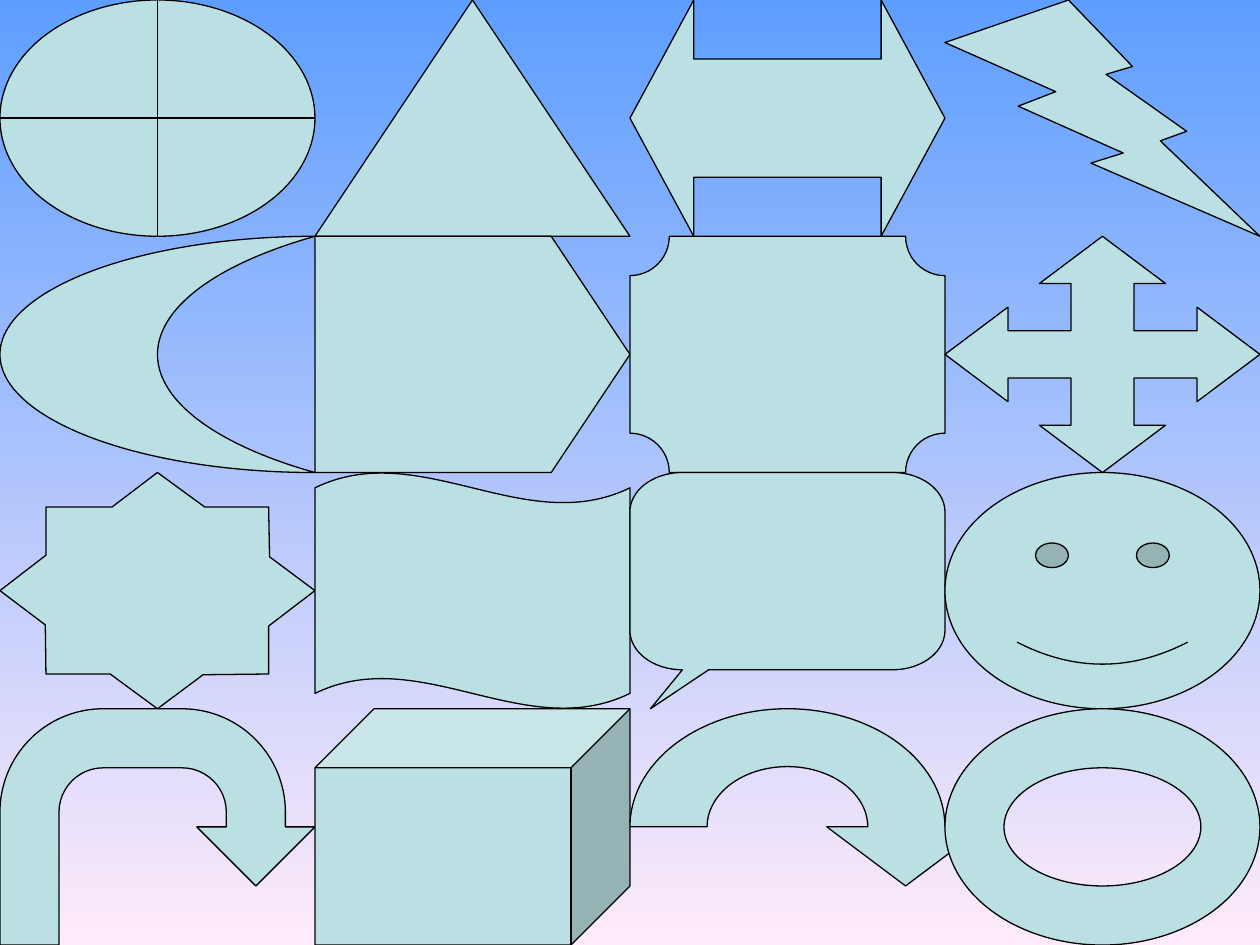
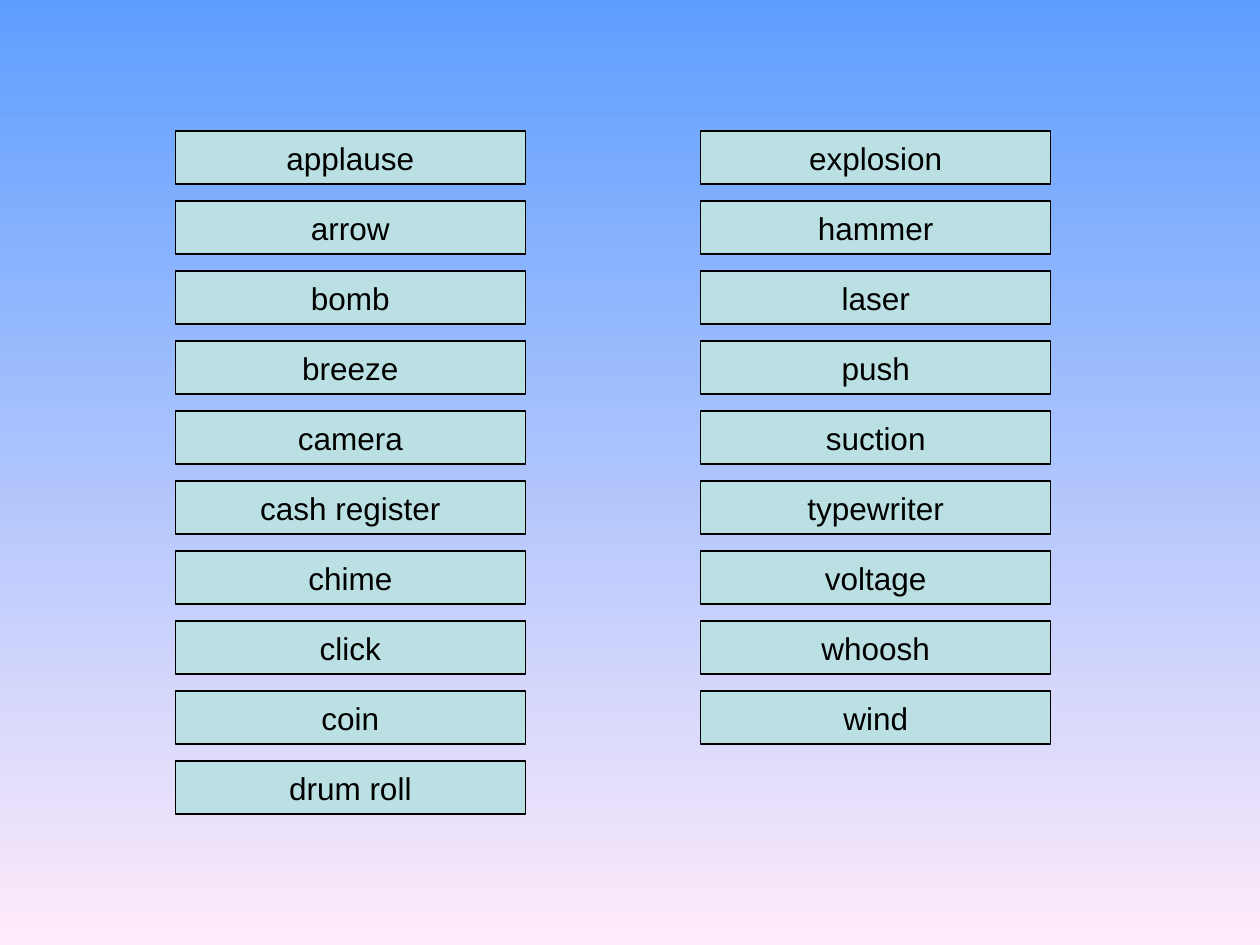
from dataclasses import dataclass, field
from math import cos, radians, sin

from pptx import Presentation
from pptx.dml.color import RGBColor
from pptx.enum.shapes import MSO_SHAPE
from pptx.enum.text import MSO_ANCHOR, PP_ALIGN
from pptx.util import Inches, Pt

Point = tuple[float, float]

SLIDE_WIDTH, SLIDE_HEIGHT = Inches(10), Inches(7.5)
SKY, BLUSH, AQUA, BLACK = "5E9EFF", "FFEBFA", "BBE0E3", "000000"
GRID_COLUMNS = GRID_ROWS = 4
CELL_WIDTH = SLIDE_WIDTH // GRID_COLUMNS
CELL_HEIGHT = SLIDE_HEIGHT // GRID_ROWS

LABEL_LEFTS = (Inches(1.39), Inches(5.56))
LABEL_TOP = Inches(1.04)
LABEL_PITCH = Inches(5) / 9
LABEL_WIDTH, LABEL_HEIGHT = Inches(2.78), Inches(0.42)
FRAME_FORMAT = {
    "word_wrap": False,
    "vertical_anchor": MSO_ANCHOR.MIDDLE,
    "margin_left": Inches(0.1),
    "margin_right": Inches(0.1),
    "margin_top": Inches(0.05),
    "margin_bottom": Inches(0.05),
}
FONT_FORMAT = {"name": "Arial", "size": Pt(18)}


@dataclass(frozen=True)
class Preset:
    kind: MSO_SHAPE
    adjustments: dict[int, float] = field(default_factory=dict)


@dataclass(frozen=True)
class Outline:
    """Points are percentages of a grid cell."""

    points: list[Point]


def arc(center: Point, radius: float, start: int, end: int) -> list[Point]:
    step = 3 if end > start else -3
    return [
        (center[0] + radius * cos(radians(angle)), center[1] + radius * sin(radians(angle)))
        for angle in range(start, end + step, step)
    ]


def four_way_arrow() -> Outline:
    arm = [(0, 50), (20, 30), (20, 40), (40, 40), (40, 20), (30, 20)]
    points = []
    for _ in range(4):
        points += arm
        arm = [(100 - y, x) for x, y in arm]
    return Outline(points)


def speech_bubble() -> Outline:
    corner, bottom = 16.67, 83.5
    right, low = 100 - corner, bottom - corner
    return Outline(
        arc((corner, corner), corner, 270, 180)
        + arc((corner, low), corner, 180, 90)
        + [(6.5, 100), (25, bottom)]
        + arc((right, low), corner, 90, 0)
        + arc((right, corner), corner, 0, -90)
    )


def curved_arrow() -> Outline:
    center = (50, 50)
    return Outline(
        arc(center, 25.5, 360, 180)
        + arc(center, 50, 180, 360)
        + [(112.5, 50), (87.5, 75), (62.5, 50)]
    )


STAR = Outline([
    (0, 50), (14.4, 64.5), (14.6, 85.3), (35, 85.3),
    (50, 100), (64.5, 85.6), (85.3, 85.3), (85.3, 65),
    (100, 50), (85.6, 35.7), (85.3, 14.6), (65, 14.6),
    (50, 0), (35.6, 14.6), (14.6, 14.6), (14.6, 35),
])

GRID_FIGURES = [
    Preset(MSO_SHAPE.FLOWCHART_OR),
    Preset(MSO_SHAPE.ISOSCELES_TRIANGLE),
    Preset(MSO_SHAPE.LEFT_RIGHT_ARROW, {0: 0.5, 1: 0.27}),
    Preset(MSO_SHAPE.LIGHTNING_BOLT),
    Preset(MSO_SHAPE.MOON, {0: 0.5}),
    Preset(MSO_SHAPE.PENTAGON, {0: 1 / 3}),
    Preset(MSO_SHAPE.PLAQUE, {0: 1 / 6}),
    four_way_arrow(),
    STAR,
    Preset(MSO_SHAPE.WAVE, {0: 0.065}),
    speech_bubble(),
    Preset(MSO_SHAPE.SMILEY_FACE),
    Preset(MSO_SHAPE.U_TURN_ARROW),
    Preset(MSO_SHAPE.CUBE, {0: 0.25}),
    curved_arrow(),
    Preset(MSO_SHAPE.DONUT, {0: 0.25}),
]

SOUND_COLUMNS = [
    ["applause", "arrow", "bomb", "breeze", "camera",
     "cash register", "chime", "click", "coin", "drum roll"],
    ["explosion", "hammer", "laser", "push", "suction",
     "typewriter", "voltage", "whoosh", "wind"],
]


def color(value: str) -> RGBColor:
    return RGBColor.from_string(value)


def apply_format(target, values: dict) -> None:
    for name, value in values.items():
        setattr(target, name, value)


def style_shape(shape) -> None:
    shape.shadow.inherit = False
    shape.fill.solid()
    shape.fill.fore_color.rgb = color(AQUA)
    shape.line.color.rgb = color(BLACK)
    shape.line.width = Pt(0.75)


def set_background(master) -> None:
    fill = master.background.fill
    fill.gradient()
    fill.gradient_angle = 270
    for stop, value in zip(fill.gradient_stops, (SKY, BLUSH)):
        stop.color.rgb = color(value)


def draw_figure(slide, figure: Preset | Outline, left: int, top: int) -> None:
    if isinstance(figure, Preset):
        shape = slide.shapes.add_shape(figure.kind, left, top, CELL_WIDTH, CELL_HEIGHT)
        for index, value in figure.adjustments.items():
            shape.adjustments[index] = value
    else:
        points = [
            (left + x * CELL_WIDTH / 100, top + y * CELL_HEIGHT / 100)
            for x, y in figure.points
        ]
        builder = slide.shapes.build_freeform(*points[0], scale=1.0)
        builder.add_line_segments(points[1:], close=True)
        shape = builder.convert_to_shape()
    style_shape(shape)


def draw_label(slide, text: str, left: int, top: int) -> None:
    shape = slide.shapes.add_shape(
        MSO_SHAPE.RECTANGLE, left, top, LABEL_WIDTH, LABEL_HEIGHT
    )
    style_shape(shape)
    apply_format(shape.text_frame, FRAME_FORMAT)
    paragraph = shape.text_frame.paragraphs[0]
    paragraph.alignment = PP_ALIGN.CENTER
    run = paragraph.add_run()
    run.text = text
    apply_format(run.font, FONT_FORMAT)
    run.font.color.rgb = color(BLACK)


def build_shape_grid(slide) -> None:
    for index, figure in enumerate(GRID_FIGURES):
        row, column = divmod(index, GRID_COLUMNS)
        draw_figure(slide, figure, column * CELL_WIDTH, row * CELL_HEIGHT)


def build_sound_list(slide) -> None:
    for left, sounds in zip(LABEL_LEFTS, SOUND_COLUMNS):
        for row, sound in enumerate(sounds):
            draw_label(slide, sound, left, round(LABEL_TOP + row * LABEL_PITCH))


def main() -> None:
    presentation = Presentation()
    presentation.slide_width, presentation.slide_height = SLIDE_WIDTH, SLIDE_HEIGHT
    set_background(presentation.slide_master)
    blank_layout = presentation.slide_layouts[6]
    for build in (build_shape_grid, build_sound_list):
        build(presentation.slides.add_slide(blank_layout))
    presentation.save("out.pptx")


if __name__ == "__main__":
    main()
